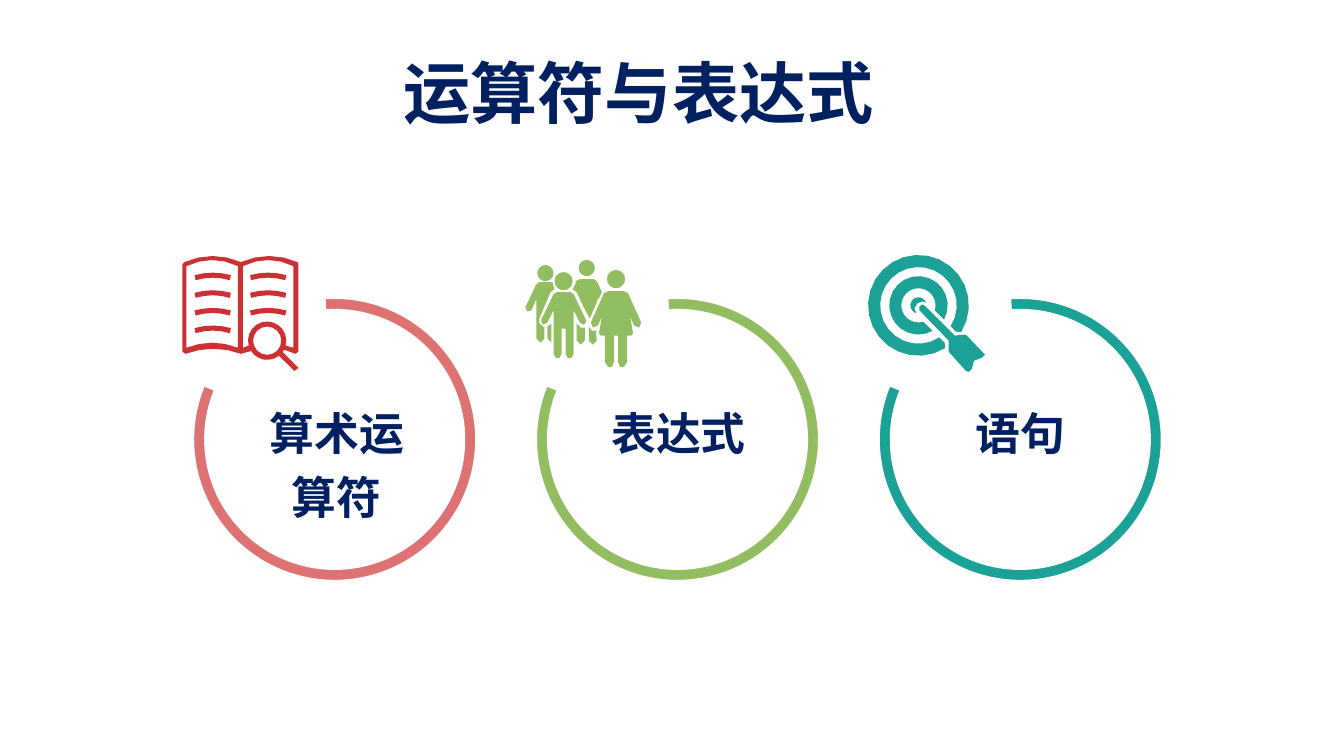
"""Build a title slide with three open rings, each with an icon and a label."""
from math import cos, radians, sin
from lxml import etree
from pptx import Presentation
from pptx.dml.color import RGBColor
from pptx.enum.shapes import MSO_SHAPE
from pptx.enum.text import MSO_ANCHOR, MSO_AUTO_SIZE, PP_ALIGN
from pptx.oxml.ns import qn
from pptx.util import Inches, Pt

ARC, RECT = MSO_SHAPE.BLOCK_ARC, MSO_SHAPE.RECTANGLE
LEFT, CENTER, TOP, FIXED = PP_ALIGN.LEFT, PP_ALIGN.CENTER, MSO_ANCHOR.TOP, MSO_AUTO_SIZE.NONE
FONT, NAVY, WHITE = "Noto Sans CJK SC", "002060", "FFFFFF"
RED, ROSE, GREEN, TEAL = "CC3030", "DE7272", "92BD61", "1CA196"

deck = Presentation()
deck.slide_width, deck.slide_height = Inches(13.33), Inches(7.5)
slide = deck.slides.add_slide(deck.slide_layouts[5])
shapes = slide.shapes


def paint(shape, fill, line=None):
    """Give a shape a flat fill and an optional thin line."""
    shape.shadow.inherit = False
    shape.fill.solid()
    shape.fill.fore_color.rgb = RGBColor.from_string(fill)
    if line:
        shape.line.color.rgb = RGBColor.from_string(line)
        shape.line.width = Pt(1)
    else:
        shape.line.fill.background()


def write(box, text, size, pitch, align):
    """Put one navy bold paragraph in a box."""
    frame = box.text_frame
    frame.word_wrap, frame.auto_size, frame.vertical_anchor = True, FIXED, TOP
    frame.text = text
    para = frame.paragraphs[0]
    para.alignment, para.line_spacing = align, Pt(pitch)
    font = para.font
    font.name, font.size, font.bold = FONT, Pt(size), True
    font.color.rgb = RGBColor.from_string(NAVY)
    etree.SubElement(para._p.pPr.find(qn("a:defRPr")), qn("a:ea")).set("typeface", FONT)


veil = shapes.add_shape(RECT, 0, 0, deck.slide_width, deck.slide_height)
paint(veil, WHITE)
tint = veil._element.spPr.find(qn("a:solidFill"))[0]
etree.SubElement(tint, qn("a:alpha")).set("val", "94000")

arc = lambda x, y, r, start, end, n=12: [
    (x + r * cos(radians(start + (end - start) * i / n)),
     y + r * sin(radians(start + (end - start) * i / n))) for i in range(n + 1)]
arch = lambda x, end, y, rise: [
    (x + (end - x) * t, y - 4 * rise * t * (1 - t)) for t in (0, 0.25, 0.5, 0.75, 1)]

book = [
    arch(1.83, 2.39, 2.6, 0.06) + arch(2.39, 2.95, 2.6, 0.06)[1:]
    + [(2.96, 2.62), (2.96, 3.49), (2.93, 3.51), (2.82, 3.47), (2.8, 3.49), (2.96, 3.65),
       (2.92, 3.68)]
    + arc(2.65, 3.38, 0.19, 52, 148, 6) + [(2.5, 3.48)]
    + arch(2.39, 1.84, 3.51, 0.05) + [(1.81, 3.49), (1.81, 2.62)],
    arch(1.85, 2.36, 2.64, 0.06) + arch(2.36, 1.85, 3.45, 0.05),
    arch(2.41, 2.91, 2.64, 0.06) + [(2.91, 3.45)]
    + arc(2.65, 3.38, 0.19, 15, -195) + [(2.41, 3.45)],
    arc(2.65, 3.38, 0.14, 0, 360, 16),
]
for left, rows in ((1.93, 4), (2.48, 3)):
    for row in range(rows):
        y = 2.73 + 0.175 * row
        book.append(arch(left, left + 0.36, y, 0.025) + arch(left + 0.35, left + 0.01, y + 0.05, 0.025))

MAN = [(0.07, 0), (0.1, 0.02), (0.22, 0.27), (0.22, 0.3), (0.2, 0.32), (0.16, 0.3), (0.1, 0.18),
       (0.1, 0.61), (0.08, 0.65), (0.04, 0.65), (0.02, 0.61), (0.02, 0.36)]
WOMAN = [(0.08, 0), (0.12, 0.02), (0.25, 0.31), (0.23, 0.36), (0.18, 0.34), (0.14, 0.25),
         (0.17, 0.42), (0.15, 0.44), (0.11, 0.44), (0.11, 0.7), (0.08, 0.75), (0.04, 0.75),
         (0.02, 0.7), (0.02, 0.44)]
people = [
    [(5.84, 3.24), (5.87, 3.28), (5.92, 3.28), (5.91, 3.3), (5.92, 3.38), (5.88, 3.42), (5.84, 3.38)],
    [(5.72, 3.21), (5.76, 3.25), (5.8, 3.25), (5.8, 3.38), (5.76, 3.42), (5.72, 3.38)],
    [(5.47, 3.21), (5.47, 3.4), (5.43, 3.36), (5.43, 3.24)],
    [(5.35, 2.8), (5.48, 2.8), (5.5, 2.87), (5.46, 2.9), (5.35, 3.16), (5.35, 3.21), (5.4, 3.25),
     (5.4, 3.36), (5.36, 3.4), (5.32, 3.36), (5.32, 2.97), (5.27, 3.08), (5.23, 3.09), (5.21, 3.05),
     (5.32, 2.82)],
    [(5.75, 2.77), (5.89, 2.77), (5.92, 2.79), (5.97, 2.9), (5.93, 2.98), (5.92, 2.95), (5.92, 3),
     (5.85, 3.16), (5.79, 3.05), (5.72, 2.9), (5.68, 2.87), (5.71, 2.81), (5.71, 2.79)],
]
for half, x, y in ((MAN, 5.59, 2.9), (WOMAN, 6.11, 2.89)):
    people.append([(x + dx, y + dy) for dx, dy in half] + [(x - dx, y + dy) for dx, dy in half[::-1]])
for x, y, r in ((5.59, 2.79, 0.09), (6.11, 2.77, 0.09), (5.41, 2.71, 0.08), (5.82, 2.66, 0.08)):
    people.append(arc(x, y, r, 0, 360, 16))

X, Y = 9.11, 3.03
target = [
    [(9.15, 3.02), (9.18, 3.04), (9.47, 3.33), (9.57, 3.32), (9.59, 3.33), (9.77, 3.52),
     (9.74, 3.55), (9.66, 3.58), (9.64, 3.66), (9.61, 3.69), (9.58, 3.68), (9.41, 3.49),
     (9.41, 3.38), (9.12, 3.08), (9.12, 3.04)],
    arc(X, Y, 0.08, 105, 340) + [(9.15, 2.99), (9.1, 3.01), (9.07, 3.06)],
    arc(X, Y, 0.29, 61, 389, 20) + arc(X, Y, 0.17, 377, 73, 20),
    arc(X, Y, 0.5, 58, 392, 24) + [(9.48, 3.29)] + arc(X, Y, 0.38, 393, 57, 24) + [(9.37, 3.4)],
]

STEP = 3.4
for col, (icon, shade, tone) in enumerate(
        ((book, RED, ROSE), (people, GREEN, GREEN), (target, TEAL, TEAL))):
    pen = None
    for outline in icon:
        points = [(Inches(x), Inches(y)) for x, y in outline]
        if pen:
            pen.move_to(*points[0])
        else:
            pen = shapes.build_freeform(*points[0])
        pen.add_line_segments(points[1:], close=True)
    paint(pen.convert_to_shape(), shade)
    ring = shapes.add_shape(ARC, Inches(1.92 + col * STEP), Inches(2.96), Inches(2.8), Inches(2.8))
    paint(ring, tone, WHITE)
    for i, value in enumerate((159.6, 121.38, 0.04)):
        ring.adjustments[i] = value

title = shapes.title
shapes._spTree.append(title._element)
title.left, title.top, title.width, title.height = map(Inches, (3.9, 0.46, 5.13, 0.91))
write(title, "运算符与表达式", 48, 57.5, LEFT)

labels = [("算术运算符", 1.34), ("表达式", 0.69), ("语句", 0.69)]
for col, (text, height) in enumerate(labels):
    box = shapes.add_textbox(Inches(2.5 + col * 3.39), Inches(3.86), Inches(1.68), Inches(height))
    box.text_frame.margin_top = Inches(0.07)
    write(box, text, 32, 45.4, CENTER)

deck.save("out.pptx")
